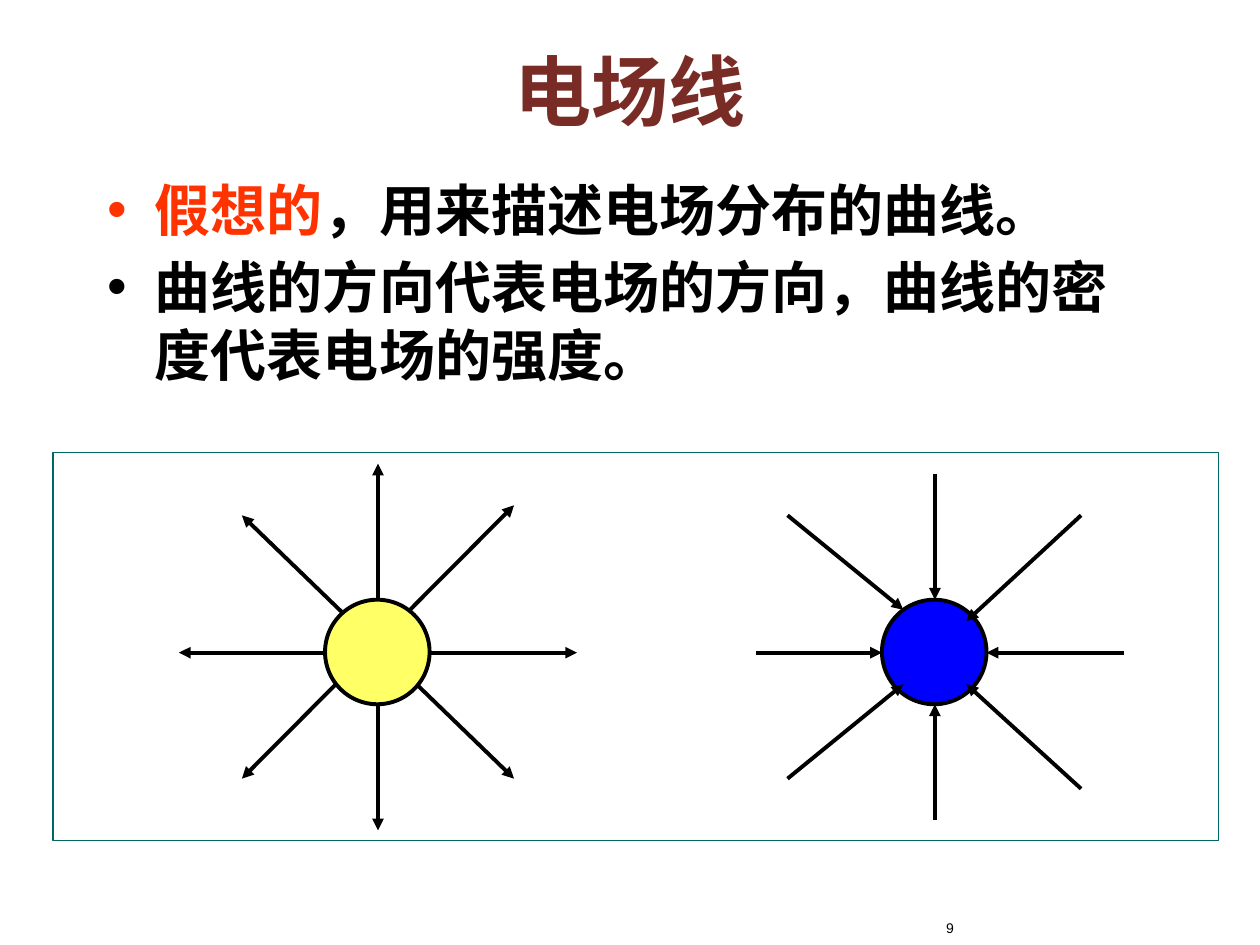
from dataclasses import dataclass

from lxml import etree
from pptx import Presentation
from pptx import util as u
from pptx.dml.color import RGBColor
from pptx.enum import shapes, text
from pptx.oxml.ns import qn


@dataclass(frozen=True)
class Theme:
    serif: str = "Times New Roman"
    sans: str = "Arial"
    title_color: RGBColor = RGBColor(0x79, 0x2B, 0x25)
    accent: RGBColor = RGBColor(0xFF, 0x33, 0x00)
    ink: RGBColor = RGBColor(0x00, 0x00, 0x00)
    frame: RGBColor = RGBColor(0x00, 0x66, 0x66)
    positive: RGBColor = RGBColor(0xFF, 0xFF, 0x66)
    negative: RGBColor = RGBColor(0x00, 0x00, 0xFF)
    title_size: u.Pt = u.Pt(44)
    body_size: u.Pt = u.Pt(32)
    number_size: u.Pt = u.Pt(8)
    field_line: u.Pt = u.Pt(2.25)
    frame_line: u.Pt = u.Pt(0.75)


theme = Theme()


def style_font(font, name, size, color, bold=False):
    font.name, font.size, font.bold = name, size, bold
    font.color.rgb = color


def add_field_line(slide, start, end, arrow_tags):
    """Draw a field line; headEnd puts an arrow at start, tailEnd at end."""
    points = [u.Inches(value) for value in (*start, *end)]
    line = slide.shapes.add_connector(shapes.MSO_CONNECTOR.STRAIGHT, *points)
    line.line.color.rgb = theme.ink
    line.line.width = theme.field_line
    properties = line._element.spPr
    for tag in arrow_tags:
        etree.SubElement(properties.find(qn("a:ln")), qn(tag), type="triangle")
    etree.SubElement(properties, qn("a:effectLst"))


deck = Presentation()
deck.slide_width, deck.slide_height = u.Inches(10), u.Inches(7.5)
page = deck.slides.add_slide(deck.slide_layouts[1])

# Title and list
title, body = page.shapes.title, page.placeholders[1]
for box, top, height in ((title, 0.09, 1.25), (body, 1.34, 5.33)):
    box.left, box.top = u.Inches(0.75), u.Inches(top)
    box.width, box.height = u.Inches(8.5), u.Inches(height)
    box.text_frame.word_wrap = True
    box.text_frame.auto_size = text.MSO_AUTO_SIZE.NONE

title.text_frame.text = "电场线"
title.text_frame.vertical_anchor = text.MSO_ANCHOR.MIDDLE
heading = title.text_frame.paragraphs[0]
heading.alignment = text.PP_ALIGN.CENTER
style_font(heading.runs[0].font, theme.serif, theme.title_size, theme.title_color, True)

points = [
    [("假想的", theme.accent), ("，用来描述电场分布的曲线。", theme.ink)],
    [("曲线的方向代表电场的方向，曲线的密度代表电场的强度。", theme.ink)],
]
for index, pieces in enumerate(points):
    para = body.text_frame.paragraphs[0] if index == 0 else body.text_frame.add_paragraph()
    para.space_before = u.Pt(6 if index else 0)
    properties = para._p.get_or_add_pPr()
    properties.set("marL", str(u.Inches(0.38)))
    properties.set("indent", str(-u.Inches(0.38)))
    etree.SubElement(properties, qn("a:buChar"), char="•")
    for words, color in pieces:
        span = para.add_run()
        span.text = words
        style_font(span.font, theme.serif, theme.body_size, color, True)

# Frame around both charges
frame = page.shapes.add_shape(
    shapes.MSO_SHAPE.RECTANGLE, u.Inches(0.42), u.Inches(3.59), u.Inches(9.25), u.Inches(3.08)
)
frame.shadow.inherit = False
frame.fill.background()
frame.line.color.rgb = theme.frame
frame.line.width = theme.frame_line

# Outward lines run through the positive charge, with an arrow at each end
outward = [
    ((4.58, 5.18), (1.42, 5.18)),
    ((3, 3.68), (3, 6.59)),
    ((4.08, 4.01), (1.92, 6.18)),
    ((4.08, 6.18), (1.92, 4.09)),
]
for start, end in outward:
    add_field_line(page, start, end, ("a:headEnd", "a:tailEnd"))

# Charges
diameter = 0.83
for left, color in ((2.58, theme.positive), (7, theme.negative)):
    charge = page.shapes.add_shape(
        shapes.MSO_SHAPE.OVAL, u.Inches(left), u.Inches(4.76), u.Inches(diameter), u.Inches(diameter)
    )
    charge.shadow.inherit = False
    charge.fill.solid()
    charge.fill.fore_color.rgb = color
    charge.line.color.rgb = theme.ink
    charge.line.width = theme.field_line

# Inward lines end at the negative charge
inward = [
    ((7.42, 6.51), (7.42, 5.59)),
    ((7.42, 3.76), (7.42, 4.76)),
    ((6, 5.18), (7, 5.18)),
    ((8.92, 5.18), (7.83, 5.18)),
    ((8.58, 4.09), (7.67, 4.93)),
    ((6.25, 6.18), (7.17, 5.43)),
    ((6.25, 4.09), (7.17, 4.84)),
    ((8.58, 6.26), (7.67, 5.43)),
]
for start, end in inward:
    add_field_line(page, start, end, ("a:tailEnd",))

# Page number
number = page.shapes.add_textbox(u.Inches(6.75), u.Inches(7.25), u.Inches(0.92), u.Inches(0.25))
number.text_frame.word_wrap = True
number.text_frame.text = "9"
para = number.text_frame.paragraphs[0]
para.alignment = text.PP_ALIGN.RIGHT
style_font(para.runs[0].font, theme.sans, theme.number_size, theme.ink)

deck.save("out.pptx")
